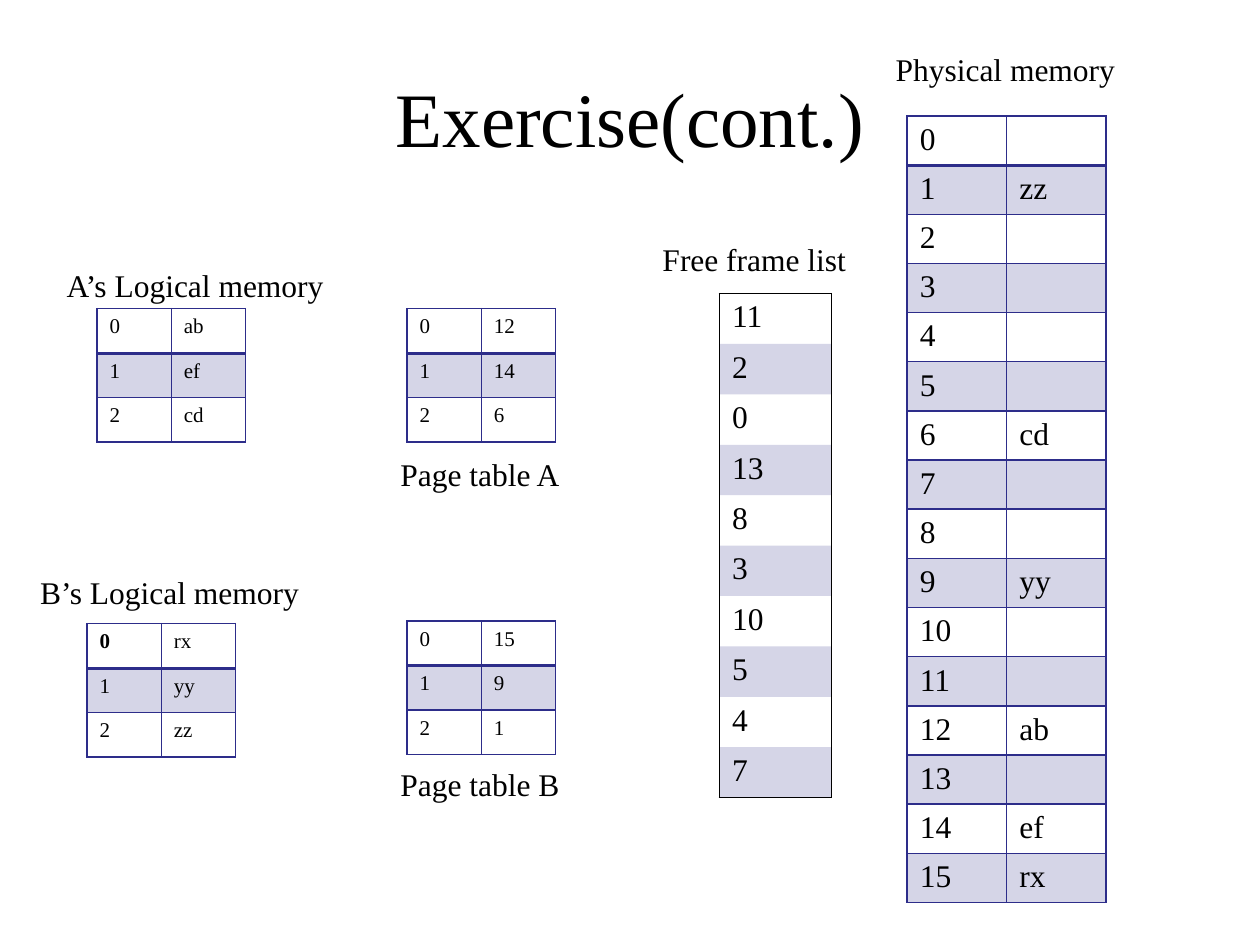
from dataclasses import dataclass
from lxml import etree
from pptx import Presentation
from pptx import util as u
from pptx.dml.color import RGBColor
from pptx.enum import text
from pptx.oxml import ns

IN = u.Inches
NO_STYLE = "{2D5ABB26-0587-4C30-8999-92F81FD0307C}"


@dataclass(frozen=True)
class Theme:
    """Colours, font and type sizes of the slide."""
    font: str = "Times New Roman"
    ink: str = "000000"
    line: str = "2D2D8A"
    tint: int = 20
    title: int = 44
    body: int = 18
    small: int = 12


THEME = Theme()


def sub(node, tag, **attrs):
    """Add a DrawingML child and return it."""
    return etree.SubElement(node, ns.qn("a:" + tag), attrs)


def write(para, words, size, bold=False):
    """Add one styled run."""
    run = para.add_run()
    run.text = words
    run.font.name = THEME.font
    run.font.size = u.Pt(size)
    run.font.bold = bold
    run.font.color.rgb = RGBColor.from_string(THEME.ink)


def blank(para, size):
    """Give an empty paragraph the font and size of its neighbours."""
    end = sub(para._p, "endParaRPr", sz=str(size * 100))
    sub(end, "latin", typeface=THEME.font)


def edge(cell, sides, color):
    """Draw cell borders; sides maps L, R, T, B to widths in points."""
    props = cell._tc.get_or_add_tcPr()
    for side in "LRTB":
        if side in sides:
            line = sub(props, "ln" + side, w=str(u.Pt(sides[side])))
            sub(sub(line, "solidFill"), "srgbClr", val=color)


def shade(cell, band):
    """Tint a banded cell and leave the others clear."""
    if not band:
        cell.fill.background()
        return
    cell.fill.solid()
    cell.fill.fore_color.rgb = RGBColor.from_string(THEME.line)
    tone = cell._tc.tcPr.find(ns.qn("a:solidFill"))[0]
    sub(tone, "alpha", val=str(THEME.tint * 1000))


def framed(row, last):
    """Borders of a list with an outer frame only."""
    sides = {"L": 1, "R": 1}
    if row == 0:
        sides["T"] = 1
    if row == last:
        sides["B"] = 1
    return sides


def ruled(row, last):
    """Borders of a full grid with a heavy line under its first row."""
    return {"L": 1, "R": 1, "T": 2 if row == 1 else 1,
            "B": 2 if row == 0 else 1}


def grid(slide, box, rows, size, rule=ruled, color=THEME.line, bold=False):
    """Fill the box with a banded table of equal rows and columns."""
    left, top, wide, high = box
    count, cols = len(rows), len(rows[0])
    table = slide.shapes.add_table(
        count, cols, IN(left), IN(top), IN(wide), IN(high)).table
    table.first_row = table.horz_banding = False
    table._tbl.tblPr.find(ns.qn("a:tableStyleId")).text = NO_STYLE
    for r, row in enumerate(rows):
        table.rows[r].height = IN(high / count)
        for c, words in enumerate(row):
            cell = table.cell(r, c)
            cell.margin_top, cell.margin_bottom = IN(0.05), IN(0.04)
            para = cell.text_frame.paragraphs[0]
            if words:
                write(para, words, size, bold and r == c == 0)
            else:
                blank(para, size)
            edge(cell, rule(r, count - 1), color)
            shade(cell, r % 2 == 1)


def label(slide, box, words):
    """Place a one-line caption."""
    frame = slide.shapes.add_textbox(*map(IN, box)).text_frame
    frame.word_wrap = False
    frame.auto_size = text.MSO_AUTO_SIZE.SHAPE_TO_FIT_TEXT
    write(frame.paragraphs[0], words, THEME.body)


def block(slide, box, name, shift, wide, rows, size, **look):
    """Place a table in the box and its caption shifted from the corner."""
    grid(slide, box, rows, size, **look)
    label(slide, (box[0] + shift[0], box[1] + shift[1], wide, 0.4), name)


def pages(slide, left, top, name, shift, wide, vals, **look):
    """Place a small table that numbers its values from zero."""
    rows = [(str(i), val) for i, val in enumerate(vals)]
    block(slide, (left, top, 1.18, 1.06), name, shift, wide, rows,
          THEME.small, **look)


def frames(slide, left, top):
    """Place the physical memory with its used frames."""
    used = {1: "zz", 6: "cd", 9: "yy", 12: "ab", 14: "ef", 15: "rx"}
    rows = [(str(i), used.get(i, "")) for i in range(16)]
    block(slide, (left, top, 1.58, 6.03), "Physical memory", (-0.19, -0.57),
          1.96, rows, THEME.body)


def free(slide, left, top):
    """Place the list of free frames."""
    rows = [(str(n),) for n in (11, 2, 0, 13, 8, 3, 10, 5, 4, 7)]
    block(slide, (left, top, 0.89, 4), "Free frame list", (-0.55, -0.47),
          1.76, rows, THEME.body, rule=framed, color=THEME.ink)


def head(slide, box, words):
    """Move and fill the title placeholder."""
    title = slide.shapes.title
    title.left, title.top, title.width, title.height = map(IN, box)
    frame = title.text_frame
    frame.vertical_anchor = text.MSO_ANCHOR.MIDDLE
    para = frame.paragraphs[0]
    para.alignment = text.PP_ALIGN.CENTER
    write(para, words, THEME.title)


def main():
    """Build and save the slide."""
    deck = Presentation()
    deck.slide_width, deck.slide_height = IN(10), IN(7.5)
    slide = deck.slides.add_slide(deck.slide_layouts[5])
    head(slide, (0.5, 0.3, 9, 1.25), "Exercise(cont.)")
    pages(slide, 0.77, 2.45, "A’s Logical memory", (-0.34, -0.39), 2.26,
          ("ab", "ef", "cd"))
    frames(slide, 7.2, 0.92)
    free(slide, 5.71, 2.33)
    pages(slide, 3.23, 2.45, "Page table A", (-0.15, 1.11), 1.48,
          ("12", "14", "6"))
    pages(slide, 3.23, 4.93, "Page table B", (-0.15, 1.09), 1.48,
          ("15", "9", "1"))
    pages(slide, 0.69, 4.95, "B’s Logical memory", (-0.47, -0.45), 2.28,
          ("rx", "yy", "zz"), bold=True)
    deck.save("out.pptx")


main()
